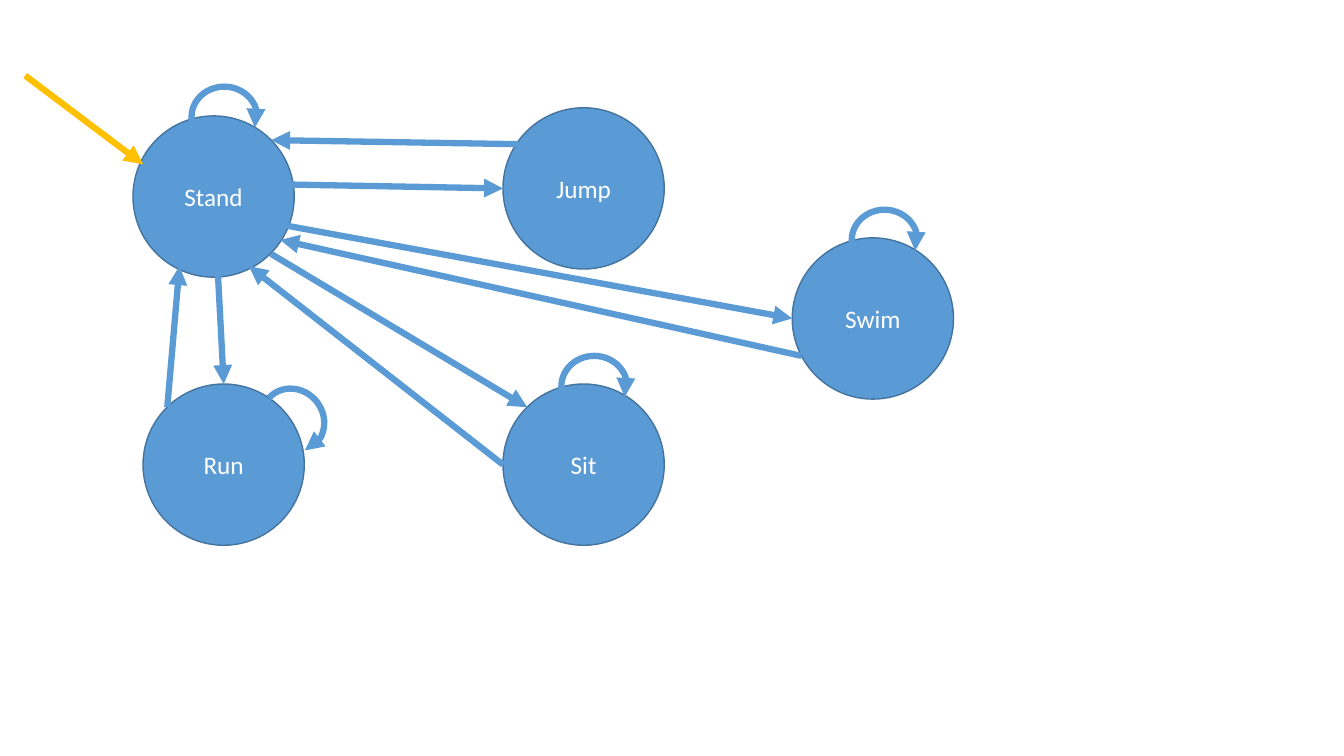
from pptx import Presentation
from pptx.dml.color import RGBColor
from pptx.enum.shapes import MSO_CONNECTOR, MSO_SHAPE
from pptx.enum.text import MSO_ANCHOR, PP_ALIGN
from pptx.oxml.ns import qn
from pptx.util import Pt
from lxml.etree import SubElement

COLORS = {"blue": "5B9BD5", "edge": "43739E", "gold": "FFC000", "white": "FFFFFF"}
SIZE = 115.2

STATES = [
    ("Stand", 95, 82.8),
    ("Jump", 359.3, 77),
    ("Run", 102.2, 274.3),
    ("Sit", 359.3, 274.3),
    ("Swim", 565.9, 169.9),
]

MOVES = [
    (205.2, 161.3, 565.9, 227.5),
    (205.2, 131.8, 359.3, 134.6),
    (155.5, 192.2, 159.8, 274.3),
    (193.7, 181.4, 376.6, 290.9),
    (119.5, 290.9, 128.2, 190.1),
    (359.3, 331.9, 177.8, 190.1),
    (370.1, 103, 193.7, 100.1),
    (572.4, 254.2, 200.2, 171.4),
]

LOOPS = [
    (136.8, 61.9, 0),
    (401, 254.2, 0),
    (608.4, 149.8, 0),
    (185.8, 278.6, 49.1),
]


def color(name):
    return RGBColor.from_string(COLORS[name])


def add_tip(item, hue):
    item.line.color.rgb = color(hue)
    item.line.width = Pt(4.5)
    line = item.element.spPr.find(qn("a:ln"))
    SubElement(line, qn("a:tailEnd"), type="triangle")


def add_state(slide, name, left, top):
    state = slide.shapes.add_shape(
        MSO_SHAPE.OVAL, Pt(left), Pt(top), Pt(SIZE), Pt(SIZE)
    )
    state.shadow.inherit = False
    state.fill.solid()
    state.fill.fore_color.rgb = color("blue")
    state.line.color.rgb = color("edge")
    state.line.width = Pt(1)
    frame = state.text_frame
    frame.vertical_anchor = MSO_ANCHOR.MIDDLE
    para = frame.paragraphs[0]
    para.alignment = PP_ALIGN.CENTER
    run = para.add_run()
    run.text = name
    run.font.name = "Calibri"
    run.font.size = Pt(18)
    run.font.color.rgb = color("white")


def add_move(slide, ends, hue="blue"):
    move = slide.shapes.add_connector(MSO_CONNECTOR.STRAIGHT, *map(Pt, ends))
    add_tip(move, hue)
    SubElement(move.element.spPr, qn("a:effectLst"))


def add_loop(slide, left, top, turn):
    loop = slide.shapes.add_shape(
        MSO_SHAPE.ARC, Pt(left), Pt(top), Pt(46.8), Pt(43.2)
    )
    loop.shadow.inherit = False
    loop.fill.background()
    loop.adjustments[0] = 104.14
    loop.adjustments[1] = 11.62
    loop.rotation = turn
    add_tip(loop, "blue")


def main():
    deck = Presentation()
    deck.slide_width, deck.slide_height = Pt(960), Pt(540)
    slide = deck.slides.add_slide(deck.slide_layouts[6])
    for state in STATES:
        add_state(slide, *state)
    for loop in LOOPS:
        add_loop(slide, *loop)
    for ends in MOVES:
        add_move(slide, ends)
    add_move(slide, (18, 54, 102.2, 117.4), "gold")
    deck.save("out.pptx")


main()
